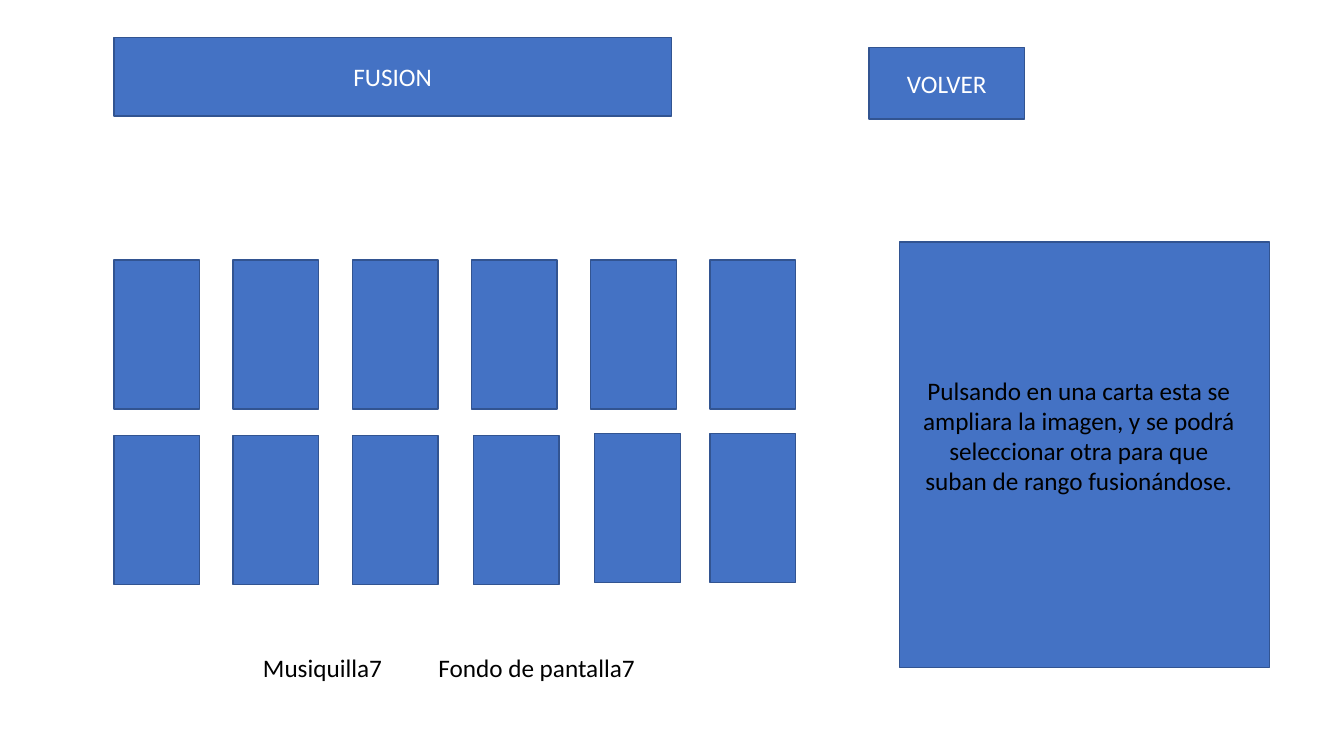
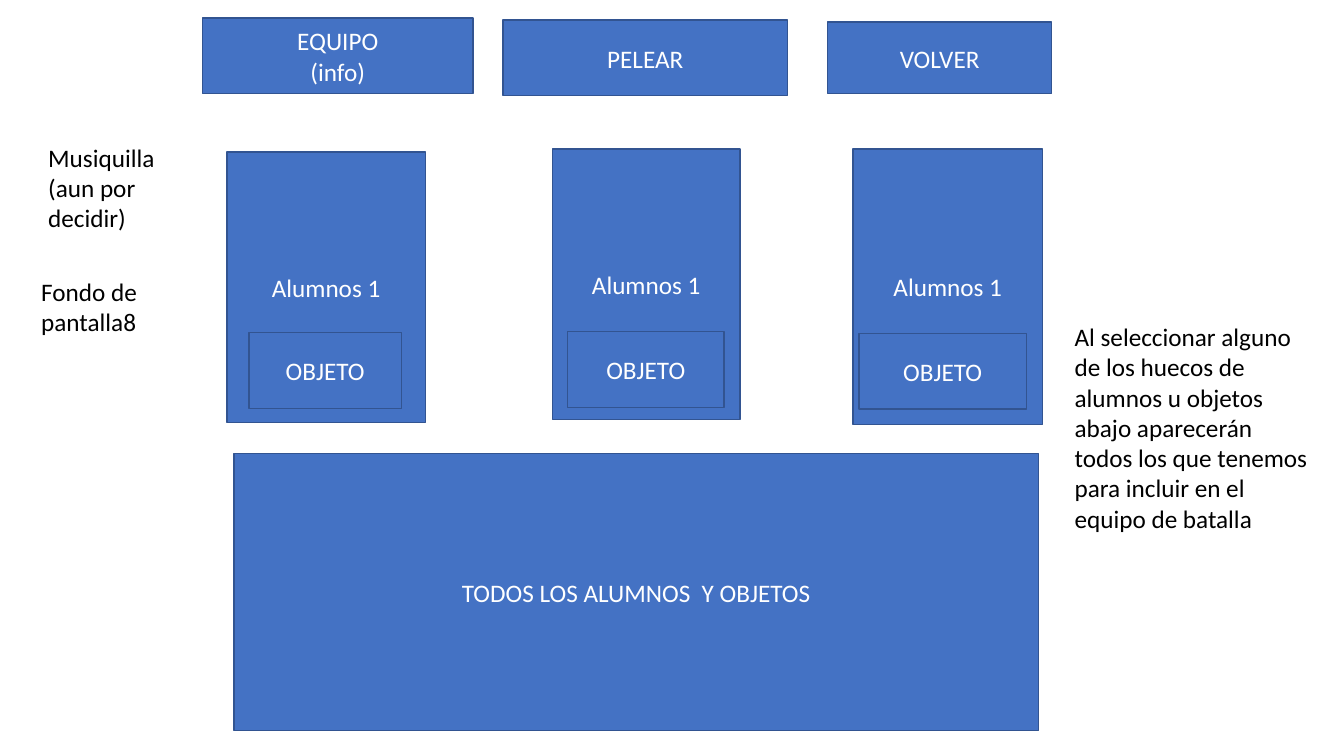
import pptx
import pptx.util
from dataclasses import dataclass
from pptx.dml.color import RGBColor
from pptx.enum.shapes import MSO_SHAPE
from pptx.enum.text import MSO_ANCHOR, MSO_AUTO_SIZE, PP_ALIGN
from pptx.util import Inches

TITLE_ONLY = 5


@dataclass(frozen=True)
class Theme:
    font: str = "Calibri"
    text_size: float = 18
    outline_width: float = 1
    panel: RGBColor = RGBColor.from_string("4472C4")
    outline: RGBColor = RGBColor.from_string("325491")
    on_panel: RGBColor = RGBColor.from_string("FFFFFF")
    body: RGBColor = RGBColor.from_string("000000")


def write(frame, text, *, theme, color, align=PP_ALIGN.LEFT, anchor=MSO_ANCHOR.TOP):
    """Fill a text frame, one paragraph per line of text."""
    frame.word_wrap = True
    frame.auto_size = MSO_AUTO_SIZE.NONE
    frame.vertical_anchor = anchor
    frame.text = text
    for paragraph in frame.paragraphs:
        paragraph.alignment = align
        paragraph.font.name = theme.font
        paragraph.font.size = pptx.util.Pt(theme.text_size)
        paragraph.font.color.rgb = color


class Mockup:
    """Screen mockups drawn one slide at a time in a single style."""

    def __init__(self, theme):
        self.theme = theme
        self.deck = pptx.Presentation()
        self.deck.slide_width = Inches(13.33)
        self.deck.slide_height = Inches(7.5)
        self.slide = None

    def screen(self, heading, left, top, width, height):
        """Start a slide whose title is a filled band."""
        self.slide = self.deck.slides.add_slide(self.deck.slide_layouts[TITLE_ONLY])
        title = self.slide.shapes.title
        title.left, title.top = Inches(left), Inches(top)
        title.width, title.height = Inches(width), Inches(height)
        self._dress(title, heading)

    def panel(self, left, top, width, height, label=""):
        shape = self.slide.shapes.add_shape(
            MSO_SHAPE.RECTANGLE,
            Inches(left), Inches(top), Inches(width), Inches(height))
        shape.shadow.inherit = False
        self._dress(shape, label)

    def note(self, left, top, width, height, text, align=PP_ALIGN.LEFT):
        box = self.slide.shapes.add_textbox(
            Inches(left), Inches(top), Inches(width), Inches(height))
        write(box.text_frame, text, theme=self.theme, color=self.theme.body, align=align)

    def _dress(self, shape, label):
        shape.fill.solid()
        shape.fill.fore_color.rgb = self.theme.panel
        shape.line.color.rgb = self.theme.outline
        shape.line.width = pptx.util.Pt(self.theme.outline_width)
        if label:
            write(shape.text_frame, label, theme=self.theme, color=self.theme.on_panel,
                  align=PP_ALIGN.CENTER, anchor=MSO_ANCHOR.MIDDLE)


def fusion_screen(mockup):
    mockup.screen("FUSION", 1.13, 0.37, 5.53, 0.78)
    mockup.panel(8.62, 0.47, 1.54, 0.71, "VOLVER")

    first_left, last_left, columns = 1.13, 7.04, 6
    pitch = (last_left - first_left) / (columns - 1)
    aligned = [(0, 0)] * columns
    lower_nudges = [(0, 0), (0, 0), (0, 0), (0.02, 0), (0.04, -0.02), (0, -0.02)]
    for row_top, nudges in ((2.58, aligned), (4.32, lower_nudges)):
        for column, (right, down) in enumerate(nudges):
            mockup.panel(first_left + column * pitch + right, row_top + down, 0.85, 1.48)

    mockup.panel(8.92, 2.4, 3.67, 4.22)
    mockup.note(9.03, 3.67, 3.34, 1.31,
                "Pulsando en una carta esta se ampliara la imagen, y se podrá "
                "seleccionar otra para que suban de rango fusionándose.",
                align=PP_ALIGN.CENTER)
    mockup.note(2.51, 6.42, 2.65, 0.4, "Musiquilla7")
    mockup.note(4.25, 6.42, 2.66, 0.4, "Fondo de pantalla7")


def team_screen(mockup):
    mockup.screen("EQUIPO\n(info)", 2.01, 0.18, 2.68, 0.75)
    mockup.panel(4.99, 0.2, 2.82, 0.75, "PELEAR")
    mockup.panel(8.21, 0.22, 2.22, 0.71, "VOLVER")

    team_slots = [
        ((2.25, 1.51, 1.97, 2.68), (2.47, 3.3, 1.51, 0.75)),
        ((5.48, 1.48, 1.86, 2.68), (5.63, 3.29, 1.55, 0.75)),
        ((8.46, 1.48, 1.88, 2.73), (8.52, 3.31, 1.66, 0.75)),
    ]
    for student, item in team_slots:
        mockup.panel(*student, "Alumnos 1")
        mockup.panel(*item, "OBJETO")
    mockup.panel(2.32, 4.5, 7.98, 2.75, "TODOS LOS ALUMNOS  Y OBJETOS")

    mockup.note(0.38, 1.36, 1.36, 1.01, "Musiquilla (aun por decidir)")
    mockup.note(0.31, 2.69, 1.42, 0.71, "Fondo de pantalla8")
    mockup.note(10.56, 3.14, 2.52, 2.22,
                "Al seleccionar alguno de los huecos de alumnos u objetos abajo "
                "aparecerán todos los que tenemos para incluir en el equipo de batalla")


def main():
    mockup = Mockup(Theme())
    fusion_screen(mockup)
    team_screen(mockup)
    mockup.deck.save("out.pptx")


if __name__ == "__main__":
    main()
